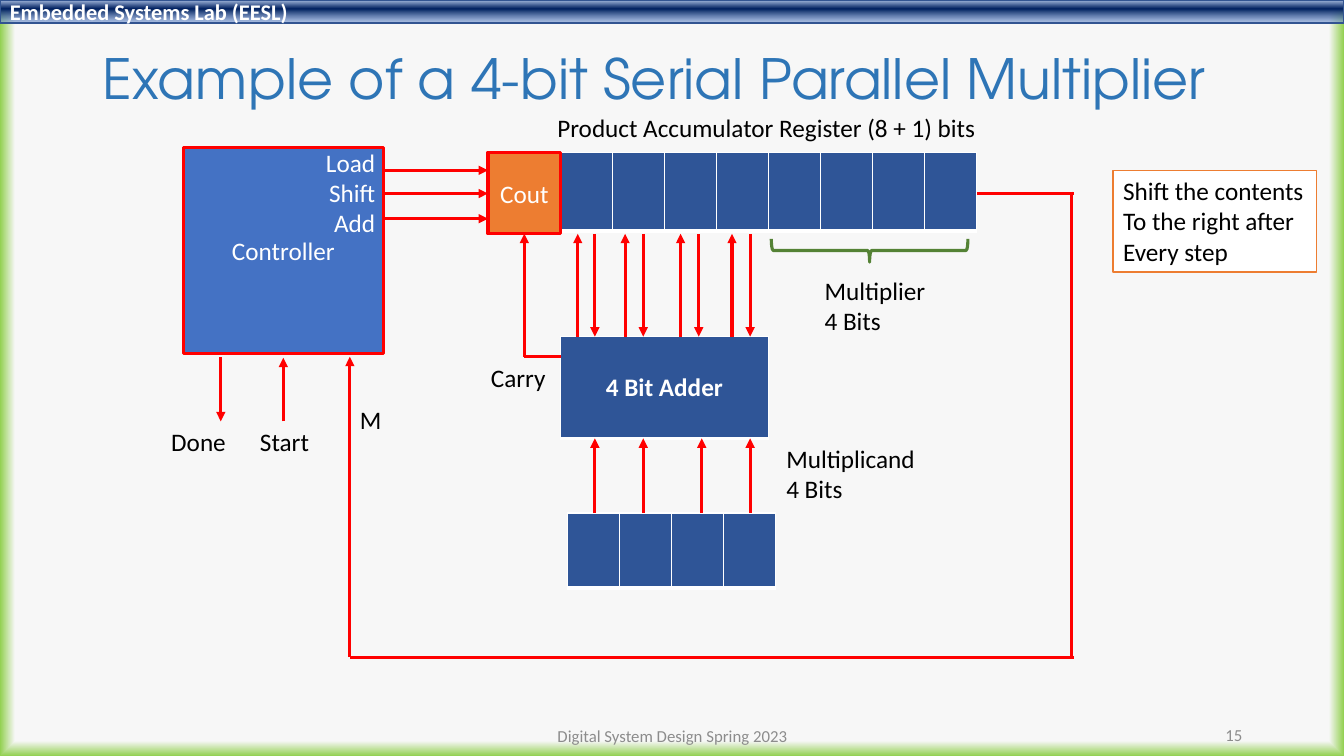
from pptx import Presentation
from pptx import util as u
from pptx import oxml
from pptx.dml.color import RGBColor
from pptx.enum import shapes, text
from pptx.oxml import ns

FONT = "Calibri"
RED, WHITE, BLACK, GREY = "FF0000", "FFFFFF", "000000", "8C8C8C"
NAVY, BLUE, ORANGE, GREEN = "2F5597", "4472C4", "ED7D31", "548235"
LEFT, CENTER, RIGHT = text.PP_ALIGN.LEFT, text.PP_ALIGN.CENTER, text.PP_ALIGN.RIGHT
MIDDLE, TOP = text.MSO_ANCHOR.MIDDLE, text.MSO_ANCHOR.TOP


def color(value):
    return RGBColor.from_string(value)


def inches(*values):
    return [u.Inches(value) for value in values]


def gradient(stops, direction):
    """Gradient fill from (percent, colour, opacity) stops."""
    marks = "".join(
        f'<a:gs pos="{position * 1000}"><a:srgbClr val="{value}">'
        f'<a:alpha val="{opacity * 1000}"/></a:srgbClr></a:gs>'
        for position, value, opacity in stops)
    return (f'<a:gradFill {ns.nsdecls("a")} rotWithShape="1">'
            f'<a:gsLst>{marks}</a:gsLst>{direction}</a:gradFill>')


def write(frame, lines, size=18, ink=BLACK, align=LEFT, bold=False, font=FONT):
    frame.text = lines
    for paragraph in frame.paragraphs:
        paragraph.alignment = align
        for run in paragraph.runs:
            run.font.size = u.Pt(size)
            run.font.name = font
            run.font.bold = bold
            run.font.color.rgb = color(ink)


def add_label(slide, box, lines, wrap=False, anchor=TOP, **style):
    frame = slide.shapes.add_textbox(*inches(*box)).text_frame
    write(frame, lines, **style)
    frame.word_wrap = wrap
    frame.vertical_anchor = anchor
    if not wrap:
        frame.auto_size = text.MSO_AUTO_SIZE.SHAPE_TO_FIT_TEXT
    return frame


def add_block(slide, box, fill, line, width=2.25, kind=shapes.MSO_SHAPE.RECTANGLE):
    shape = slide.shapes.add_shape(kind, *inches(*box))
    shape.shadow.inherit = False
    if fill:
        shape.fill.solid()
        shape.fill.fore_color.rgb = color(fill)
    else:
        shape.fill.background()
    shape.line.color.rgb = color(line)
    shape.line.width = u.Pt(width)
    shape.text_frame.vertical_anchor = MIDDLE
    return shape


def add_wire(slide, x1, y1, x2, y2, arrow=True):
    wire = slide.shapes.add_connector(
        shapes.MSO_CONNECTOR.STRAIGHT, *inches(x1, y1, x2, y2))
    wire.line.color.rgb = color(RED)
    wire.line.width = u.Pt(2.25)
    properties = wire.element.spPr
    if arrow:
        properties.find(ns.qn("a:ln")).append(
            oxml.parse_xml(f'<a:tailEnd {ns.nsdecls("a")} type="triangle"/>'))
    properties.append(oxml.parse_xml(f'<a:effectLst {ns.nsdecls("a")}/>'))


def add_register(slide, box, columns):
    """One-row table of navy cells with white borders."""
    table = slide.shapes.add_table(1, columns, *inches(*box)).table
    table.first_row = table.horz_banding = False
    for cell in table.iter_cells():
        cell.vertical_anchor = MIDDLE
        properties = cell._tc.get_or_add_tcPr()
        for side, points in (("L", 1), ("R", 1), ("T", 1), ("B", 3)):
            properties.append(oxml.parse_xml(
                f'<a:ln{side} {ns.nsdecls("a")} w="{u.Pt(points)}"><a:solidFill>'
                f'<a:srgbClr val="{WHITE}"/></a:solidFill></a:ln{side}>'))
        cell.fill.solid()
        cell.fill.fore_color.rgb = color(NAVY)
    return table


def add_frame(slide):
    # Background glow
    glow = gradient(
        [(0, "F7F7F7", 100), (96, "F7F7F7", 100), (100, "92D050", 100)],
        '<a:path path="shape"><a:fillToRect l="50000" t="50000" r="50000" b="50000"/></a:path>')
    slide.element.cSld.insert(0, oxml.parse_xml(
        f'<p:bg {ns.nsdecls("p")}><p:bgPr>{glow}'
        f'<a:effectLst {ns.nsdecls("a")}/></p:bgPr></p:bg>'))

    # Header band
    band = add_block(slide, (0, 0, 13.33, 0.23), None, "325491", 1)
    no_fill = band.element.spPr.find(ns.qn("a:noFill"))
    band.element.spPr.replace(no_fill, oxml.parse_xml(gradient(
        [(2, "ABC0E4", 100), (38, "002060", 100), (93, "7E9ED6", 64)],
        '<a:lin ang="5400000" scaled="0"/>')))
    write(band.text_frame, "Embedded Systems Lab (EESL)", 16, WHITE, bold=True)

    # Title and footer
    title = add_label(slide, (0.92, 0.4, 11.5, 0.81),
                      "Example of a 4-bit Serial Parallel Multiplier", wrap=True,
                      anchor=MIDDLE, size=39.6, ink="2E75B6", font="TeX Gyre Adventor")
    title.paragraphs[0].line_spacing = 0.9
    footer = dict(wrap=True, anchor=MIDDLE, size=12, ink=GREY)
    add_label(slide, (4.42, 7.1, 4.5, 0.4), "Digital System Design Spring 2023",
              align=CENTER, **footer)
    add_label(slide, (9.42, 7.09, 3, 0.4), "15", align=RIGHT, **footer)


def add_blocks(slide):
    controller = add_block(slide, (1.82, 1.46, 1.98, 2.05), BLUE, RED)
    write(controller.text_frame, "Controller", ink=WHITE, align=CENTER)
    add_register(slide, (5.56, 1.51, 4.13, 0.78), 8)
    carry_out = add_block(slide, (4.84, 1.51, 0.72, 0.81), ORANGE, RED)
    write(carry_out.text_frame, "Cout", ink=WHITE, align=CENTER)
    adder = add_register(slide, (5.56, 3.34, 2.06, 1.01), 1)
    write(adder.cell(0, 0).text_frame, "4 Bit Adder", ink=WHITE, align=CENTER, bold=True)
    add_register(slide, (5.63, 5.09, 2.06, 0.74), 4)

    brace = add_block(slide, (8.51, 1.51, 0.23, 1.95), None, GREEN,
                      kind=shapes.MSO_SHAPE.LEFT_BRACE)
    brace.rotation = 270

    note = add_block(slide, (11.04, 1.69, 2.02, 1.01), WHITE, ORANGE, 1)
    write(note.text_frame, "Shift the contents\nTo the right after\nEvery step")
    note.text_frame.vertical_anchor = TOP
    note.text_frame.word_wrap = False


def add_wires(slide):
    # Carry from adder to Cout
    add_wire(slide, 5.56, 3.54, 5.2, 3.54, arrow=False)
    add_wire(slide, 5.2, 3.54, 5.2, 2.32)
    # Accumulator and adder exchange
    for up, down in ((5.73, 5.9), (6.2, 6.38), (6.75, 6.93), (7.26, 7.44)):
        add_wire(slide, up, 3.34, up, 2.32)
        add_wire(slide, down, 2.32, down, 3.34)
    # Multiplicand into adder
    for x in (5.9, 6.38, 6.96, 7.44):
        add_wire(slide, x, 5.09, x, 4.35)
    # Load, shift and add signals
    for y in (1.69, 1.92, 2.17):
        add_wire(slide, 3.81, y, 4.84, y)
    # Feedback of M to the controller
    add_wire(slide, 9.69, 1.92, 10.65, 1.92, arrow=False)
    add_wire(slide, 10.63, 1.9, 10.63, 6.52, arrow=False)
    add_wire(slide, 10.65, 6.52, 3.47, 6.52, arrow=False)
    add_wire(slide, 3.47, 6.52, 3.47, 3.54)
    # Start and done
    add_wire(slide, 2.81, 4.18, 2.81, 3.55)
    add_wire(slide, 2.19, 3.54, 2.19, 4.18)


def add_labels(slide):
    for box, lines in (
            ((5.43, 1.07, 4.4, 0.4), "Product Accumulator Register (8 + 1) bits"),
            ((8.08, 2.68, 1.21, 0.71), "Multiplier\n4 Bits"),
            ((7.7, 4.35, 1.49, 0.71), "Multiplicand\n4 Bits"),
            ((4.77, 3.55, 0.75, 0.4), "Carry"),
            ((1.6, 4.18, 0.75, 0.4), "Done"),
            ((2.48, 4.18, 0.69, 0.4), "Start"),
            ((3.47, 3.96, 0.42, 0.4), "M")):
        add_label(slide, box, lines)
    add_label(slide, (3.12, 1.41, 0.7, 1.01), "Load\nShift\nAdd", ink=WHITE, align=RIGHT)


def main():
    presentation = Presentation()
    presentation.slide_width, presentation.slide_height = inches(13.33, 7.5)
    slide = presentation.slides.add_slide(presentation.slide_layouts[6])
    add_frame(slide)
    add_blocks(slide)
    add_wires(slide)
    add_labels(slide)
    presentation.save("out.pptx")


main()
